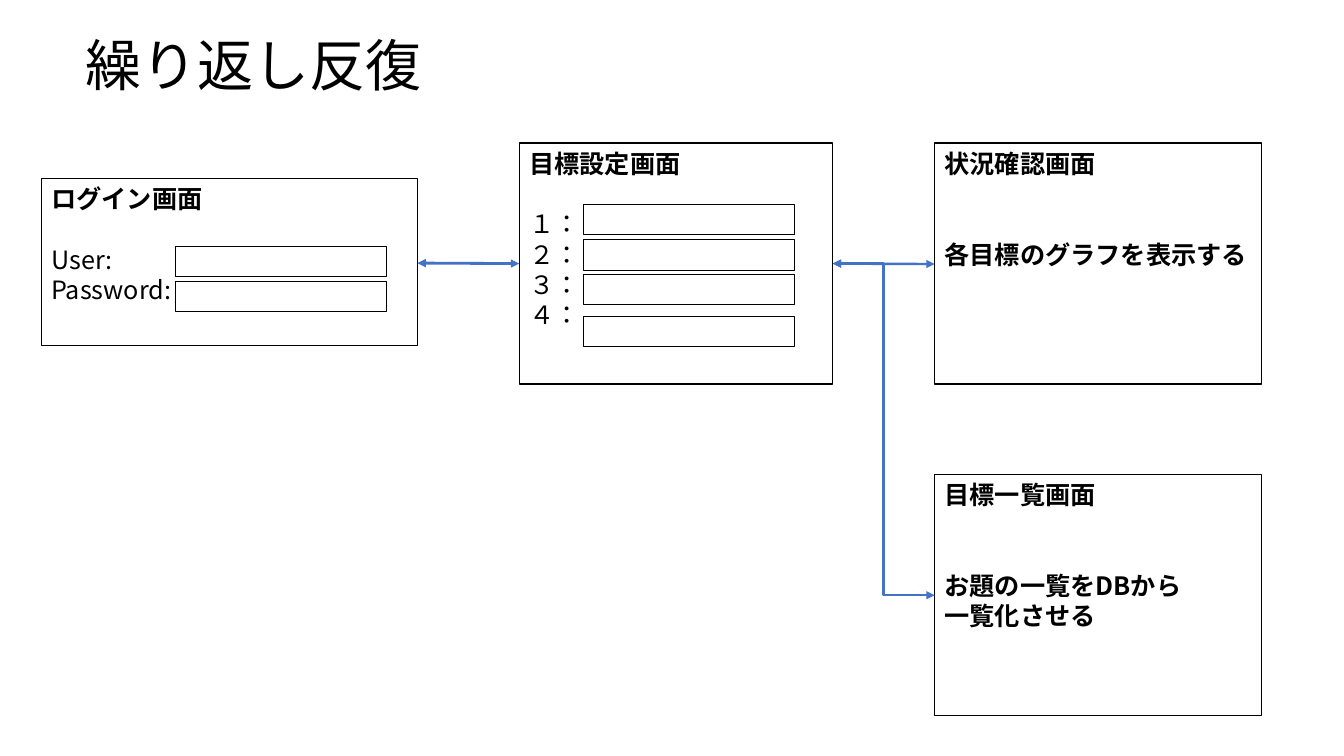
import pptx
import pptx.util
import pptx.dml.color
import pptx.enum.shapes
import pptx.enum.text
import pptx.oxml.ns
import lxml.etree

INK = pptx.dml.color.RGBColor(0x00, 0x00, 0x00)
ARROW_BLUE = pptx.dml.color.RGBColor(0x44, 0x72, 0xC4)
FONT = "Noto Sans CJK JP"
LINE_PITCH = 21.6
FIELD_WIDTH, FIELD_HEIGHT = 2.09, 0.3
ROW_TOP, ROW_HEIGHT = 1.42, 2.39
RIGHT_COLUMN, RIGHT_WIDTH = 9.27, 3.24
LIST_TOP = 4.71

inches = pptx.util.Inches
points = pptx.util.Pt
qn = pptx.oxml.ns.qn

deck = pptx.Presentation()
deck.slide_width, deck.slide_height = inches(13.33), inches(7.5)
page = deck.slides.add_slide(deck.slide_layouts[6])


def add_frame(left, top, width, height, weight):
    frame = page.shapes.add_shape(
        pptx.enum.shapes.MSO_SHAPE.RECTANGLE,
        inches(left), inches(top), inches(width), inches(height))
    frame.shadow.inherit = False
    frame.fill.background()
    frame.line.color.rgb = INK
    frame.line.width = points(weight)
    return frame


def write_line(para, text, size, bold):
    para.text = text
    para.font.size = points(size)
    para.font.bold = bold
    para.font.color.rgb = INK
    para.font.name = FONT
    for span in para.runs:
        properties = span._r.get_or_add_rPr()
        properties.set("lang", "ja-JP")
        lxml.etree.SubElement(properties, qn("a:latin"), typeface=FONT)
        lxml.etree.SubElement(properties, qn("a:ea"), typeface=FONT)


title = page.shapes.add_textbox(inches(0.13), inches(0.1), inches(4.77), inches(0.93))
title.text_frame.word_wrap = True
title.text_frame.vertical_anchor = pptx.enum.text.MSO_ANCHOR.BOTTOM
title_para = title.text_frame.paragraphs[0]
write_line(title_para, "繰り返し反復", 40, False)
title_para.alignment = pptx.enum.text.PP_ALIGN.CENTER
title_para.line_spacing = 0.9

screens = [
    (0.41, 1.77, 3.73, 1.66, "ログイン画面", ["User:", "Password:"], 1, False),
    (5.15, ROW_TOP, 3.11, ROW_HEIGHT, "目標設定画面",
     ["１：", "２：", "３：", "４："], 1, False),
    (RIGHT_COLUMN, ROW_TOP, RIGHT_WIDTH, ROW_HEIGHT, "状況確認画面",
     ["各目標のグラフを表示する"], 2, True),
    (RIGHT_COLUMN, LIST_TOP, RIGHT_WIDTH, ROW_HEIGHT, "目標一覧画面",
     ["お題の一覧をDBから", "一覧化させる"], 2, True),
]
for left, top, width, height, heading, body, gap_lines, bold in screens:
    screen = add_frame(left, top, width, height, 1)
    content = screen.text_frame
    content.word_wrap = True
    content.vertical_anchor = pptx.enum.text.MSO_ANCHOR.TOP
    for index, text in enumerate([heading] + body):
        para = content.paragraphs[0] if index == 0 else content.add_paragraph()
        write_line(para, text, 18, bold or index == 0)
        para.alignment = pptx.enum.text.PP_ALIGN.LEFT
        para.line_spacing = points(LINE_PITCH)
        if index == 1:
            para.space_before = points(gap_lines * LINE_PITCH)

for left, tops in [(1.74, [2.44, 2.79]), (5.79, [2.03, 2.38, 2.72, 3.14])]:
    for top in tops:
        add_frame(left, top, FIELD_WIDTH, FIELD_HEIGHT, 0.5)

connector_kind = pptx.enum.shapes.MSO_CONNECTOR
middle = ROW_TOP + ROW_HEIGHT / 2
links = [
    (connector_kind.STRAIGHT, 4.14, 2.61, 5.15, middle, 2),
    (connector_kind.STRAIGHT, 8.26, middle, RIGHT_COLUMN, 2.62, 1.75),
    (connector_kind.ELBOW, 8.26, middle, RIGHT_COLUMN, LIST_TOP + ROW_HEIGHT / 2, 1.75),
]
for kind, start_x, start_y, end_x, end_y, weight in links:
    link = page.shapes.add_connector(
        kind, inches(start_x), inches(start_y), inches(end_x), inches(end_y))
    link.line.color.rgb = ARROW_BLUE
    link.line.width = points(weight)
    outline = link.line._get_or_add_ln()
    for end in ("a:headEnd", "a:tailEnd"):
        lxml.etree.SubElement(outline, qn(end), type="triangle")
    lxml.etree.SubElement(link._element.spPr, qn("a:effectLst"))

deck.save("out.pptx")
